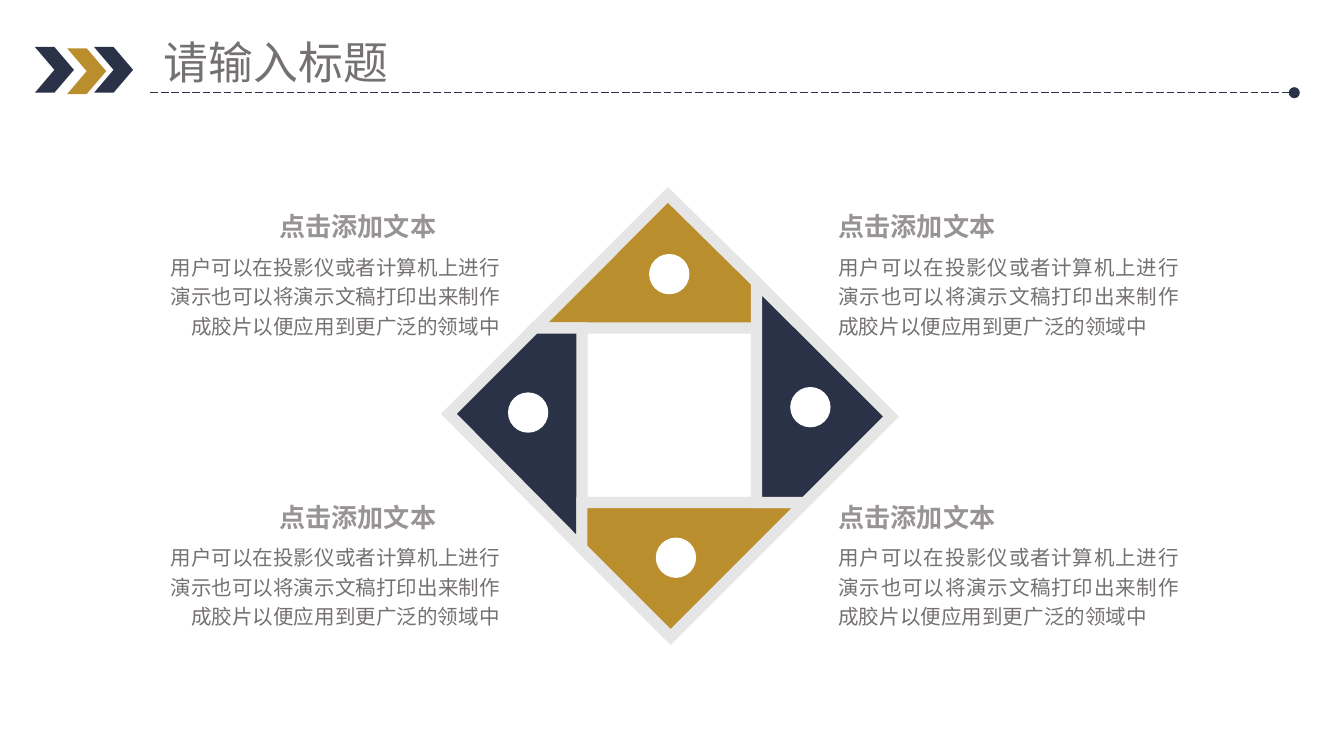
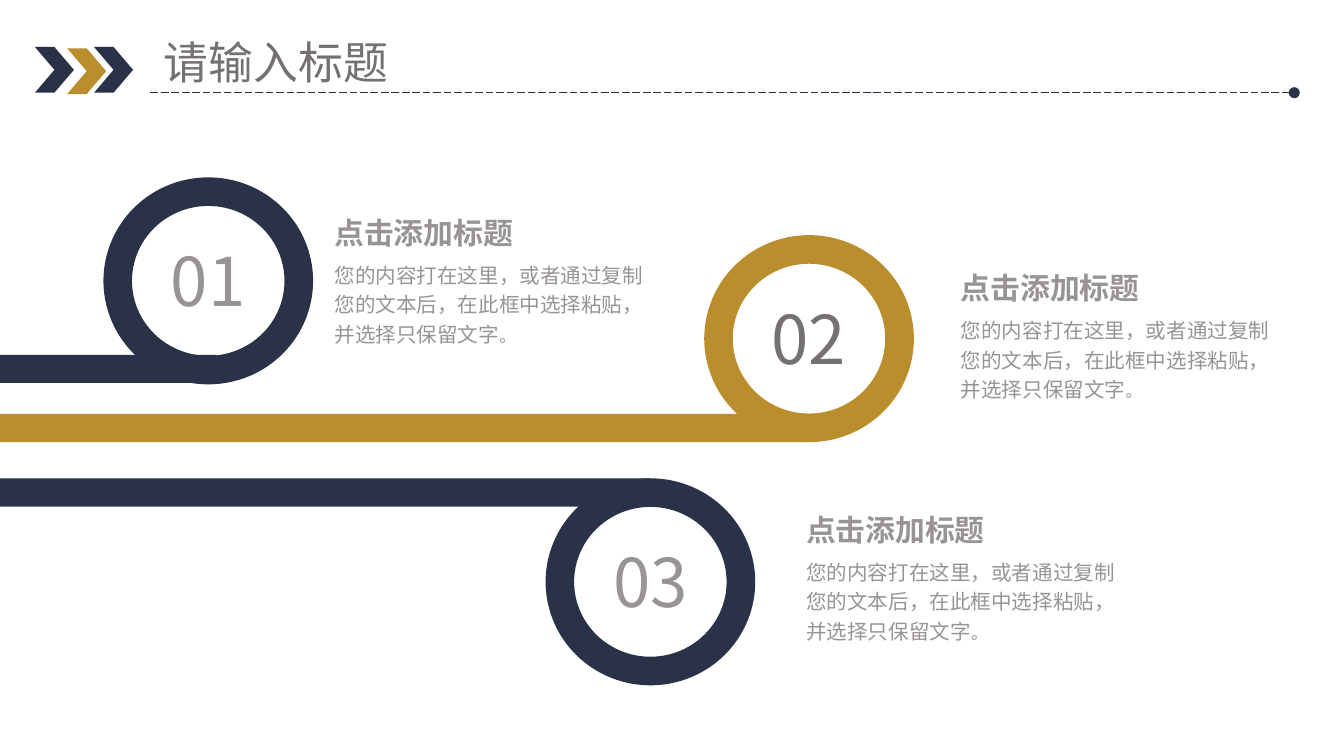
from dataclasses import dataclass
from typing import Optional

from lxml.etree import SubElement
from pptx import Presentation
from pptx.dml.color import RGBColor
from pptx.enum.dml import MSO_LINE
from pptx.enum.shapes import MSO_CONNECTOR, MSO_SHAPE
from pptx.enum.text import MSO_ANCHOR, MSO_AUTO_SIZE, PP_ALIGN
from pptx.oxml.ns import qn
from pptx.util import Inches, Pt

FONT = "Noto Sans CJK SC"
NAVY, GOLD, WHITE = "293247", "BA8D2D", "FFFFFF"
DARK, GREY, PALE = "767171", "999494", "E7E6E6"

TITLE = "请输入标题"
HEAD_1 = "点击添加文本"
BODY_1 = "用户可以在投影仪或者计算机上进行演示也可以将演示文稿打印出来制作成胶片以便应用到更广泛的领域中"
HEAD_2 = "点击添加标题"
BODY_2 = "您的内容打在这里，或者通过复制您的文本后，在此框中选择粘贴，并选择只保留文字"
STOP = "。"


@dataclass(frozen=True)
class Style:
    size: float
    color: str
    bold: bool = False
    align: PP_ALIGN = PP_ALIGN.LEFT
    spacing: Optional[float] = None


@dataclass(frozen=True)
class Chevron:
    left: float
    top: float
    color: str


@dataclass(frozen=True)
class Blade:
    color: str
    points: tuple
    icon: tuple


@dataclass(frozen=True)
class Note:
    head: float
    body: float
    top: float
    align: PP_ALIGN


@dataclass(frozen=True)
class Loop:
    label: str
    color: str
    ink: str
    left: float
    top: float
    bar: tuple
    note: tuple
    flip: bool = False


CHEVRONS = (
    Chevron(0.5, 0.36, GOLD),
    Chevron(0.7, 0.35, NAVY),
    Chevron(0.26, 0.35, NAVY),
)

BLADES = (
    Blade(GOLD, ((4.97, 1.45), (5.63, 2.1), (5.63, 2.44), (3.98, 2.44)), (4.98, 2.04)),
    Blade(NAVY, ((4.33, 2.44), (4.33, 4.08), (3.34, 3.08), (3.98, 2.44)), (3.93, 3.07)),
    Blade(GOLD, ((5.99, 3.74), (4.99, 4.74), (4.33, 4.08), (4.33, 3.74)), (5.03, 4.15)),
    Blade(NAVY, ((5.63, 2.1), (6.63, 3.1), (5.99, 3.74), (5.63, 3.74)), (6.03, 3.03)),
)
ICON = 0.3

NOTES = tuple(
    Note(head, body, top, align)
    for head, body, align in ((6.14, 6.14, PP_ALIGN.JUSTIFY), (1.98, 1.09, PP_ALIGN.RIGHT))
    for top in (1.52, 3.68)
)

LOOPS = (
    Loop("01", NAVY, GREY, 0.77, 1.32, (2.64, 1.61), (2.39, 1.55)),
    Loop("02", GOLD, DARK, 5.24, 1.75, (3.08, 6.01), (7.05, 1.96)),
    Loop("03", NAVY, GREY, 4.06, 3.56, (3.56, 4.84), (5.9, 3.76), True),
)


def tint(color: str) -> RGBColor:
    return RGBColor.from_string(color)


def write(frame, texts: tuple, style: Style) -> None:
    para = frame.paragraphs[0]
    for text in texts:
        para.add_run().text = text
    para.alignment = style.align
    if style.spacing:
        para.line_spacing = style.spacing
    font = para.font
    font.size, font.bold, font.name = Pt(style.size), style.bold, FONT
    font.color.rgb = tint(style.color)
    props = para._p.pPr.find(qn("a:defRPr"))
    SubElement(props, qn("a:ea")).set("typeface", FONT)


def add_text(slide, box: tuple, texts: tuple, style: Style):
    shape = slide.shapes.add_textbox(*map(Inches, box))
    frame = shape.text_frame
    frame.word_wrap = True
    frame.auto_size = MSO_AUTO_SIZE.SHAPE_TO_FIT_TEXT
    write(frame, texts, style)
    return frame.paragraphs[0]


def add_form(slide, kind: MSO_SHAPE, box: tuple, fill: Optional[str] = None):
    shape = slide.shapes.add_shape(kind, *map(Inches, box))
    shape.shadow.inherit = False
    if fill:
        shape.fill.solid()
        shape.fill.fore_color.rgb = tint(fill)
    else:
        shape.fill.background()
    shape.line.fill.background()
    return shape


def add_rule(slide) -> None:
    ends = map(Inches, (1.12, 0.69, 9.63, 0.69))
    rule = slide.shapes.add_connector(MSO_CONNECTOR.STRAIGHT, *ends)
    rule.line.color.rgb = tint(NAVY)
    rule.line.width = Pt(0.5)
    rule.line.dash_style = MSO_LINE.LONG_DASH
    SubElement(rule.line._get_or_add_ln(), qn("a:tailEnd")).set("type", "oval")
    SubElement(rule._element.spPr, qn("a:effectLst"))


def add_slide(deck):
    slide = deck.slides.add_slide(deck.slide_layouts[5])
    title = slide.shapes.title
    title.left, title.top = Inches(1.12), Inches(0.21)
    title.width, title.height = Inches(1.87), Inches(0.5)
    frame = title.text_frame
    frame.word_wrap = False
    frame.auto_size = MSO_AUTO_SIZE.SHAPE_TO_FIT_TEXT
    frame.vertical_anchor = MSO_ANCHOR.TOP
    write(frame, (TITLE,), Style(24, DARK))
    add_rule(slide)
    for item in CHEVRONS:
        add_form(slide, MSO_SHAPE.CHEVRON, (item.left, item.top, 0.29, 0.34), item.color)
    return slide


def add_blade(slide, blade: Blade) -> None:
    first, *rest = [tuple(map(Inches, point)) for point in blade.points]
    pen = slide.shapes.build_freeform(*first)
    pen.add_line_segments(rest, close=True)
    shape = pen.convert_to_shape()
    shape.shadow.inherit = False
    shape.fill.solid()
    shape.fill.fore_color.rgb = tint(blade.color)
    shape.line.color.rgb = tint(PALE)
    shape.line.width = Pt(6)
    SubElement(shape.line._get_or_add_ln(), qn("a:miter")).set("lim", "800000")


def add_icon(slide, blade: Blade) -> None:
    left, top = (mid - ICON / 2 for mid in blade.icon)
    add_form(slide, MSO_SHAPE.OVAL, (left, top, ICON, ICON), WHITE)


def add_note(slide, note: Note) -> None:
    body = Style(11, DARK, align=note.align, spacing=1.2)
    add_text(slide, (note.body, note.top + 0.29, 2.73, 0.77), (BODY_1,), body)
    add_text(slide, (note.head, note.top, 1.84, 0.34), (HEAD_1,), Style(14, GREY, True))


def add_loop(slide, loop: Loop) -> None:
    disc = add_form(slide, MSO_SHAPE.OVAL, (loop.left + 0.21, loop.top + 0.2, 1.14, 1.12))
    disc.text_frame.vertical_anchor = MSO_ANCHOR.MIDDLE
    write(disc.text_frame, (loop.label,), Style(36, loop.ink, align=PP_ALIGN.CENTER))
    top, width = loop.bar
    add_form(slide, MSO_SHAPE.RECTANGLE, (0, top, width, 0.21), loop.color)
    ring = add_form(slide, MSO_SHAPE.DONUT, (loop.left, loop.top, 1.56, 1.54), loop.color)
    ring.adjustments[0] = 0.138
    if loop.flip:
        ring._element.spPr.xfrm.set("flipV", "1")
    left, top = loop.note
    body = Style(11, GREY, spacing=1.2)
    para = add_text(slide, (left, top + 0.32, 2.61, 0.77), (BODY_2, STOP), body)
    para.runs[-1].font.size = Pt(9)
    add_text(slide, (left, top, 1.78, 0.37), (HEAD_2,), Style(16, GREY, True))


def main() -> None:
    deck = Presentation()
    deck.slide_width = Inches(10)
    deck.slide_height = deck.slide_width * 9 // 16

    slide = add_slide(deck)
    for blade in BLADES:
        add_blade(slide, blade)
    for blade in BLADES:
        add_icon(slide, blade)
    for note in NOTES:
        add_note(slide, note)

    slide = add_slide(deck)
    for loop in LOOPS:
        add_loop(slide, loop)

    deck.save("out.pptx")


if __name__ == "__main__":
    main()
